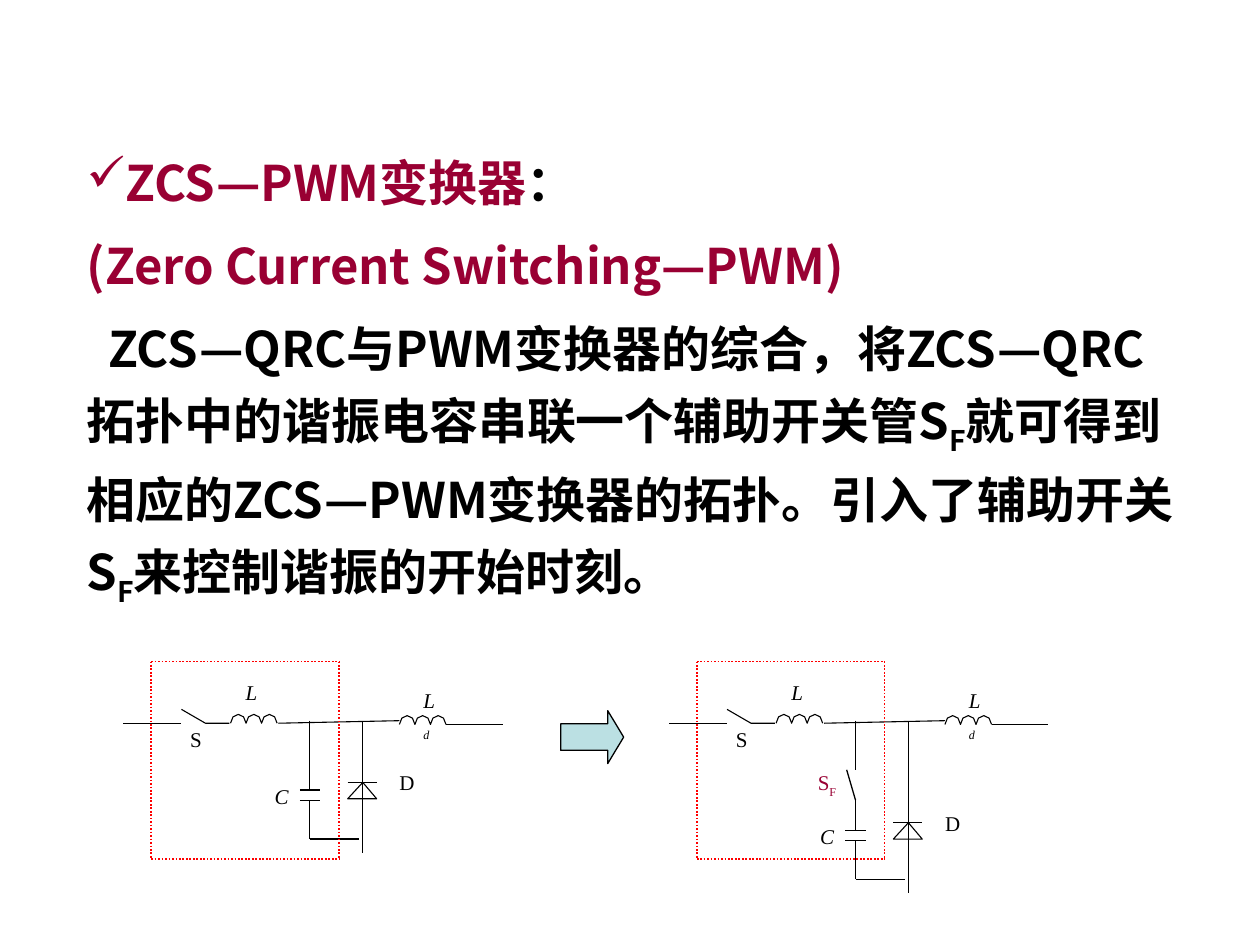
import enum
from dataclasses import dataclass

import pptx
import pptx.dml.color
import pptx.enum.dml
import pptx.enum.shapes
import pptx.enum.text
import pptx.oxml
import pptx.oxml.ns
import pptx.util

Inches = pptx.util.Inches
Pt = pptx.util.Pt
MSO_SHAPE = pptx.enum.shapes.MSO_SHAPE


@dataclass(frozen=True)
class Theme:
    ink: str = "000000"
    accent: str = "990033"
    frame: str = "FF0000"
    arrow: str = "BBE0E3"
    paper: str = "FFFFFF"
    body_font: str = "Noto Sans CJK SC"
    alt_font: str = "Arial"
    label_font: str = "Times New Roman"
    body: float = 28
    label: float = 12
    thin: float = 0.62
    wire: float = 0.75
    dotted: float = 1


T = Theme()


class Style(enum.Enum):
    PLAIN = 0
    SUB = -25000


def rgb(value):
    return pptx.dml.color.RGBColor.from_string(value)


def child(parent, tag, **attrs):
    el = pptx.oxml.parse_xml(f"<a:{tag} {pptx.oxml.ns.nsdecls('a')}/>")
    for name, value in attrs.items():
        el.set(name, value)
    parent.append(el)
    return el


def add_run(p, text, font, size, color, style=Style.PLAIN, bold=False, italic=False):
    r = p.add_run()
    r.text = text
    f = r.font
    f.name, f.size, f.bold, f.italic = font, Pt(size), bold, italic
    f.color.rgb = rgb(color)
    rPr = r._r.get_or_add_rPr()
    if style is Style.SUB:
        rPr.set("baseline", str(style.value))
    child(rPr, "ea", typeface=T.body_font)


def add_text_frame(shapes, x, y, w, h, wrap):
    tf = shapes.add_textbox(Inches(x), Inches(y), Inches(w), Inches(h)).text_frame
    tf.word_wrap = wrap
    tf.auto_size = pptx.enum.text.MSO_AUTO_SIZE.SHAPE_TO_FIT_TEXT
    return tf


def body_text(shapes, x, y, w, h):
    tf = add_text_frame(shapes, x, y, w, h, True)
    paragraphs = [
        [("ZCS—PWM变换器", T.accent), ("：", T.ink)],
        [("(Zero Current Switching—PWM)", T.accent)],
        [("ZCS—QRC与PWM变换器的综合，将ZCS—QRC拓扑中的谐振电容串联一个辅助开关管S", T.ink),
         ("F", T.ink, Style.SUB),
         ("就可得到相应的ZCS—PWM变换器的拓扑。", T.ink),
         ("引入了辅助开关", T.ink, Style.PLAIN, T.alt_font),
         ("S", T.ink),
         ("F", T.ink, Style.SUB),
         ("来控制谐振的开始时刻。", T.ink, Style.PLAIN, T.alt_font)],
    ]
    for i, runs in enumerate(paragraphs):
        p = tf.paragraphs[0] if i == 0 else tf.add_paragraph()
        pPr = p._p.get_or_add_pPr()
        pPr.set("marL", "0")
        # The last paragraph opens with a small first-line indent
        pPr.set("indent", str(Inches(0.17) if i == 2 else 0))
        if i == 0:
            child(child(pPr, "buClr"), "srgbClr", val=T.accent)
            child(pPr, "buChar", char="✓")
        else:
            child(pPr, "buNone")
        p.line_spacing = 1.2
        p.space_before = Pt(7 if i else 0)
        for text, color, *rest in runs:
            style = rest[0] if rest else Style.PLAIN
            font = rest[1] if len(rest) > 1 else T.body_font
            add_run(p, text, font, T.body, color, style, bold=True)


def circuit(shapes, x, y, auxiliary=False):
    """Converter cell; the auxiliary switch pushes the lower parts down."""
    g = shapes.add_group_shape().shapes
    drop = 0.32 if auxiliary else 0

    def line(x1, y1, x2, y2, width=T.thin, color=T.ink, dash=None):
        c = g.add_connector(pptx.enum.shapes.MSO_CONNECTOR.STRAIGHT,
                            Inches(x + x1), Inches(y + y1),
                            Inches(x + x2), Inches(y + y2))
        c.line.color.rgb = rgb(color)
        c.line.width = Pt(width)
        if dash:
            c.line.dash_style = dash
        child(c._element.spPr, "effectLst")

    def outline(points, close=False):
        pts = [(Inches(x + px), Inches(y + py)) for px, py in points]
        fb = g.build_freeform(*pts[0])
        fb.add_line_segments(pts[1:], close=close)
        sp = fb.convert_to_shape()
        sp.shadow.inherit = False
        if close:
            sp.fill.solid()
            sp.fill.fore_color.rgb = rgb(T.paper)
        else:
            sp.fill.background()
        sp.line.color.rgb = rgb(T.ink)
        sp.line.width = Pt(T.thin)

    def coil(left, base):
        pitch = 0.37 / 3
        points = [(left, base)]
        for turn in range(3):
            start = left + turn * pitch
            points += [(start + pitch * fx, base - rise)
                       for fx, rise in ((0.16, 0.05), (0.5, 0.07), (0.84, 0.05), (1, 0))]
        outline(points)

    def label(lx, ly, w, text, sub="", color=T.ink, italic=False):
        tf = add_text_frame(g, x + lx, y + ly, w, 0.23 if sub else 0.2, False)
        tf.margin_left = tf.margin_right = tf.margin_top = tf.margin_bottom = 0
        p = tf.paragraphs[0]
        add_run(p, text, T.label_font, T.label, color, italic=italic)
        if sub:
            add_run(p, sub, T.label_font, T.label, color, Style.SUB, italic=italic)

    # Main path: switch, resonant inductor, output inductor
    line(0, 0.49, 0.46, 0.49)
    outline([(0.46, 0.38), (0.65, 0.49), (0.84, 0.49)])
    coil(0.85, 0.49)
    line(1.23, 0.49, 2.19, 0.47)
    coil(2.19, 0.5)
    line(2.56, 0.5, 3.01, 0.5)

    # Capacitor branch
    cap = 1.48
    plate = 1.02 + drop
    for py in (plate, plate + 0.08):
        line(1.4, py, 1.56, py)
    line(cap, plate + 0.08, cap, 1.41 + drop)
    line(cap, 1.41 + drop, 1.87, 1.41 + drop, T.wire)
    if auxiliary:
        line(cap, 0.47, cap, 0.86)
        line(1.41, 0.86, cap, 1.1, T.wire)
        line(cap, 1.1, cap, plate, T.wire)
        label(1.18, 0.86, 0.15, "S", "F", T.accent)
    else:
        line(cap, 0.47, cap, plate)

    # Diode branch
    tip = 0.96 + drop
    line(1.78, tip, 2.01, tip)
    outline([(1.9, tip), (1.78, tip + 0.13), (2.01, tip + 0.13)], close=True)
    line(1.9, 0.48, 1.9, 1.52 + drop)

    # Part names
    label(0.53, 0.52, 0.09, "S")
    label(2.19, 0.86 + drop, 0.12, "D")
    label(0.97, 0.14, 0.09, "L", italic=True)
    label(2.38, 0.21, 0.14, "L", "d", italic=True)
    label(1.2, 0.97 + drop, 0.11, "C", italic=True)

    # Dotted frame around the resonant switch
    left, right, bottom = 0.22, 1.71, 1.57
    for ends in ((left, 0, left, bottom), (right, 0, right, bottom),
                 (left, 0, right, 0), (left, bottom, right, bottom)):
        line(*ends, T.dotted, T.frame, pptx.enum.dml.MSO_LINE.ROUND_DOT)


def block_arrow(shapes, x, y, w, h):
    sp = shapes.add_shape(MSO_SHAPE.RIGHT_ARROW, Inches(x), Inches(y), Inches(w), Inches(h))
    sp.adjustments[0], sp.adjustments[1] = 0.5, 0.3
    sp.shadow.inherit = False
    sp.fill.solid()
    sp.fill.fore_color.rgb = rgb(T.arrow)
    sp.line.color.rgb = rgb(T.ink)
    sp.line.width = Pt(T.wire)


def main():
    prs = pptx.Presentation()
    prs.slide_width, prs.slide_height = Inches(10), Inches(7.5)
    s = prs.slides.add_slide(prs.slide_layouts[6])
    body_text(s.shapes, 0.59, 1.07, 8.94, 3.81)
    circuit(s.shapes, 0.98, 5.25)
    circuit(s.shapes, 5.31, 5.25, auxiliary=True)
    block_arrow(s.shapes, 4.45, 5.64, 0.5, 0.42)
    prs.save("out.pptx")


if __name__ == "__main__":
    main()
